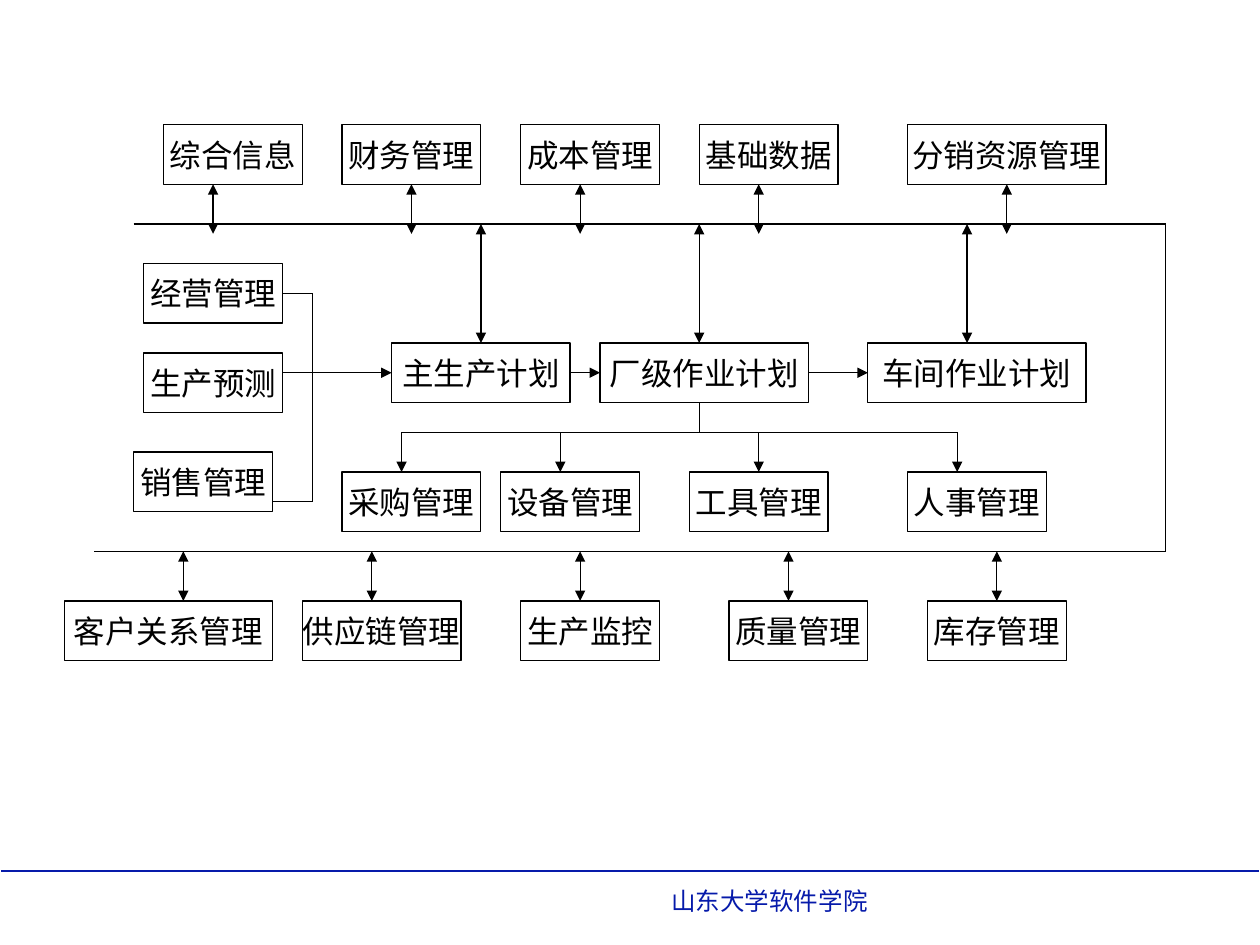
from dataclasses import dataclass

from lxml.etree import SubElement
from pptx import Presentation
from pptx.dml.color import RGBColor
from pptx.enum.shapes import MSO_CONNECTOR, MSO_SHAPE
from pptx.enum.text import MSO_ANCHOR, PP_ALIGN
from pptx.oxml.ns import qn
from pptx.util import Inches, Mm, Pt

CELL = Mm(2)
ORIGIN = (Inches(0.51), Inches(0.99))
BLACK, BLUE = "000000", "061AAA"
MODULE_WIDTH, MODULE_HEIGHT = 14, 6
ONE_WAY, TWO_WAY = ("tailEnd",), ("headEnd", "tailEnd")


@dataclass
class Region:
    """Part of the diagram, measured in grid columns and rows."""
    left: int
    top: int
    width: int
    height: int

    def point(self, column, row):
        return (ORIGIN[0] + (self.left + column) * CELL,
                ORIGIN[1] + (self.top + row) * CELL)


def color(value):
    return RGBColor.from_string(value)


def apply_format(target, values):
    for name, value in values.items():
        setattr(target, name, value)


def write(shape, text, size, ink):
    paragraph = shape.text_frame.paragraphs[0]
    run = paragraph.add_run()
    run.text = text
    apply_format(run.font, {"name": "Arial", "size": Pt(size)})
    run.font.color.rgb = color(ink)
    return paragraph


def rule(slide, start, end, ink=BLACK, weight=0.75, arrows=()):
    line = slide.shapes.add_connector(MSO_CONNECTOR.STRAIGHT, *start, *end)
    line.line.color.rgb = color(ink)
    line.line.width = Pt(weight)
    outline = line.line._get_or_add_ln()
    for arrow in arrows:
        SubElement(outline, qn(f"a:{arrow}"), type="triangle")
    SubElement(line._element.spPr, qn("a:effectLst"))


def link(slide, region, start, end, arrows=()):
    rule(slide, region.point(*start), region.point(*end), arrows=arrows)


def module(slide, region, column, row, label, columns=MODULE_WIDTH):
    frame = slide.shapes.add_shape(
        MSO_SHAPE.RECTANGLE, *region.point(column, row),
        columns * CELL, MODULE_HEIGHT * CELL)
    frame.shadow.inherit = False
    frame.fill.background()
    frame.line.color.rgb = color(BLACK)
    frame.line.width = Pt(0.75)
    apply_format(frame.text_frame, {
        "word_wrap": False, "vertical_anchor": MSO_ANCHOR.MIDDLE})
    write(frame, label, 18, BLACK).alignment = PP_ALIGN.CENTER


def module_row(slide, region, row, modules, arrow_columns, arrow_rows, arrows):
    for column, label, columns in modules:
        module(slide, region, column, row, label, columns)
    for column in arrow_columns:
        link(slide, region, (column, arrow_rows[0]), (column, arrow_rows[1]), arrows)


def data_bus(slide, region):
    """Open frame that joins the upper and lower module rows."""
    right, bottom = region.width, region.height
    link(slide, region, (4, 0), (right, 0))
    link(slide, region, (0, bottom), (right, bottom))
    link(slide, region, (right, 0), (right, bottom))


def information_row(slide, region):
    modules = [(0, "综合信息", 14), (18, "财务管理", 14), (36, "成本管理", 14),
               (54, "基础数据", 14), (75, "分销资源管理", 20)]
    module_row(slide, region, 0, modules, (5, 25, 42, 60, 85),
               (MODULE_HEIGHT, region.height), TWO_WAY)


def planning_inputs(slide, region):
    """Three inputs whose lines meet on one vertical collector."""
    for column, row, label in [(1, 0, "经营管理"), (1, 9, "生产预测"),
                               (0, 19, "销售管理")]:
        module(slide, region, column, row, label)
    collector, top, bottom = region.width, 3, region.height
    link(slide, region, (collector, top), (collector, bottom))
    link(slide, region, (MODULE_WIDTH + 1, top), (collector, top))
    link(slide, region, (MODULE_WIDTH, bottom), (collector, bottom))


def planning_chain(slide, region):
    """Plans in sequence, each tied to the bus above."""
    plans = [(11, "主生产计划", 18), (32, "厂级作业计划", 21),
             (59, "车间作业计划", 22)]
    plan_top = region.height - MODULE_HEIGHT
    module_row(slide, region, plan_top, plans, (20, 42, 69), (0, plan_top), TWO_WAY)
    middle = plan_top + MODULE_HEIGHT / 2
    departure = 0
    for column, _, columns in plans:
        link(slide, region, (departure, middle), (column, middle), ONE_WAY)
        departure = column + columns


def resource_row(slide, region):
    """Resource modules fed from one branching line."""
    branch, module_top = 3, region.height - MODULE_HEIGHT
    drops = (6, 22, 42, 62)
    modules = [(0, "采购管理", 14), (16, "设备管理", 14),
               (35, "工具管理", 14), (57, "人事管理", 14)]
    link(slide, region, (36, 0), (36, branch))
    link(slide, region, (drops[0], branch), (drops[-1], branch))
    module_row(slide, region, module_top, modules, drops,
               (branch, module_top), ONE_WAY)


def operations_row(slide, region):
    modules = [(0, "客户关系管理", 21), (24, "供应链管理", 16), (46, "生产监控", 14),
               (67, "质量管理", 14), (87, "库存管理", 14)]
    module_top = region.height - MODULE_HEIGHT
    module_row(slide, region, module_top, modules, (12, 31, 52, 73, 94),
               (0, module_top), TWO_WAY)


def footer(slide, left, top, width, height):
    rule(slide, (left, top), (left + width, top), BLUE, 1)
    school = slide.shapes.add_textbox(
        left + int(width * 0.523), top + Inches(0.07), int(width * 0.434), height)
    school.text_frame.word_wrap = True
    write(school, "山东大学软件学院", 14, BLUE)


def main():
    deck = Presentation()
    deck.slide_width, deck.slide_height = Inches(10), Inches(7.5)
    slide = deck.slides.add_slide(deck.slide_layouts[6])
    footer(slide, Inches(0.01), Inches(6.91), Inches(9.98), Inches(0.34))
    information_row(slide, Region(10, 0, 95, 11))
    data_bus(slide, Region(3, 10, 108, 33))
    planning_inputs(slide, Region(7, 14, 18, 24))
    planning_chain(slide, Region(22, 10, 81, 18))
    resource_row(slide, Region(28, 28, 71, 13))
    operations_row(slide, Region(0, 43, 101, 11))
    deck.save("out.pptx")


if __name__ == "__main__":
    main()
